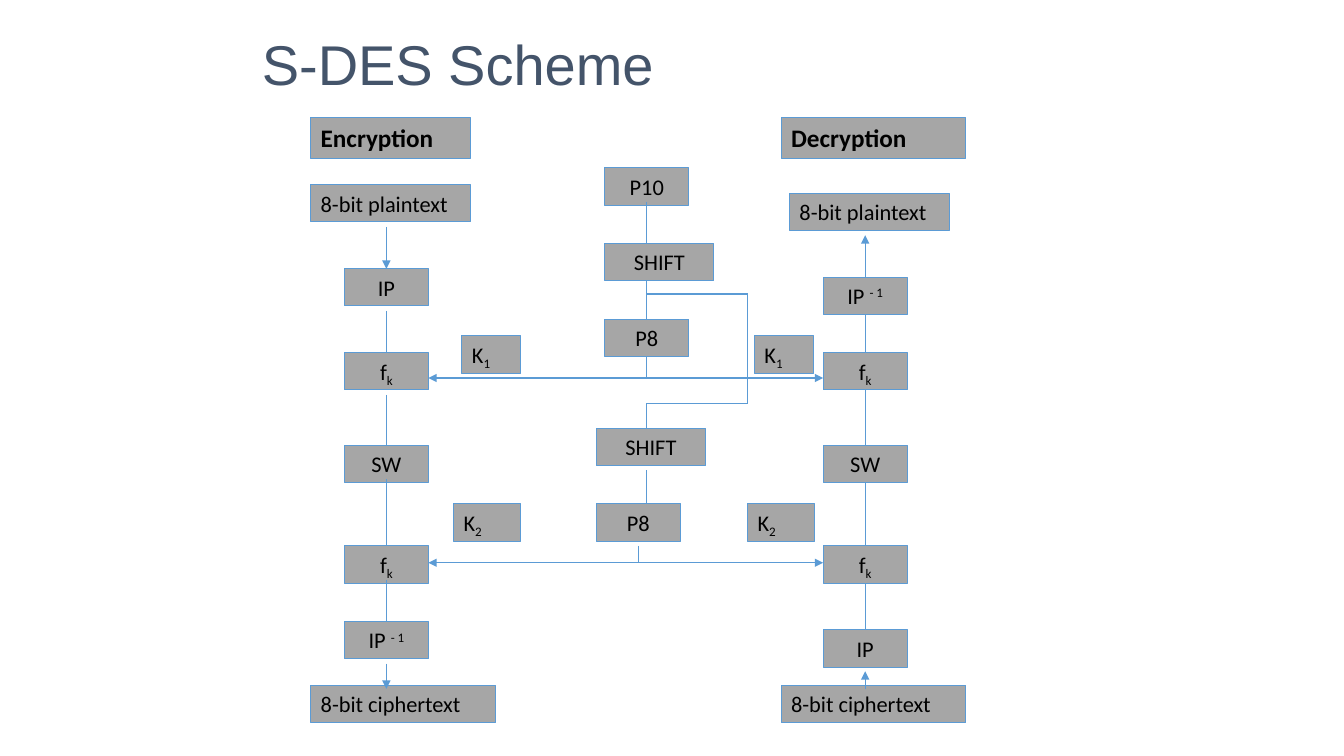
from pptx import Presentation
from pptx.dml.color import RGBColor
from pptx.enum.shapes import MSO_CONNECTOR, MSO_SHAPE
from pptx.enum.text import MSO_ANCHOR, PP_ALIGN
from pptx.oxml.ns import qn
from pptx.util import Pt
from lxml import etree

GREY = RGBColor(0xA6, 0xA6, 0xA6)
BLUE = RGBColor(0x5B, 0x9B, 0xD5)
SLATE = RGBColor(0x44, 0x54, 0x6A)
BLACK = RGBColor(0, 0, 0)
RECT, LINE = MSO_SHAPE.RECTANGLE, MSO_CONNECTOR.STRAIGHT
LEFT, MID = PP_ALIGN.LEFT, PP_ALIGN.CENTER
TOP, CENTER = MSO_ANCHOR.TOP, MSO_ANCHOR.MIDDLE
UP, DOWN = 0, 2  # top and bottom joints of a box

deck = Presentation()
deck.slide_width, deck.slide_height = Pt(960), Pt(540)
slide = deck.slides.add_slide(deck.slide_layouts[6])
boxes = {}


def write(shape, text, size=16, font="Calibri", color=BLACK, bold=False,
          align=LEFT, anchor=TOP):
    """Fill a shape with text; _ starts a subscript, ^ a superscript."""
    frame = shape.text_frame
    frame.word_wrap = True
    frame.vertical_anchor = anchor
    para = frame.paragraphs[0]
    para.alignment = align
    mark = "_" if "_" in text else "^"
    for i, part in enumerate(text.split(mark)):
        run = para.add_run()
        run.text = part
        run.font.size, run.font.name = Pt(size), font
        run.font.bold, run.font.color.rgb = bold, color
        if i:
            shift = "-25000" if mark == "_" else "30000"
            run._r.get_or_add_rPr().set("baseline", shift)
    return para


def link(start, end, arrows=()):
    """Draw a line; an end is a point (x, y) or a joint (box name, side)."""
    spots = [(0, 0) if isinstance(p[0], str) else p for p in (start, end)]
    line = slide.shapes.add_connector(LINE, *[Pt(v) for p in spots for v in p])
    if isinstance(start[0], str):
        line.begin_connect(boxes[start[0]], start[1])
    if isinstance(end[0], str):
        line.end_connect(boxes[end[0]], end[1])
    line.line.color.rgb = BLUE
    line.line.width = Pt(0.75)
    for tag in arrows:
        etree.SubElement(line.line._get_or_add_ln(), qn(tag), type="triangle")
    etree.SubElement(line._element.spPr, qn("a:effectLst"))


TAIL = ("a:tailEnd",)
BOTH = ("a:headEnd", "a:tailEnd")

# Title
title = slide.shapes.add_textbox(Pt(180), Pt(18), Pt(612), Pt(60.5))
write(title, "S-DES Scheme", size=40, font="Arial", color=SLATE,
      anchor=CENTER).line_spacing = 0.9

# Boxes: name, text, left, top, width
steps = [
    ("enc ip", "IP", 246, 192, 60),
    ("enc f1", "f_k", 246, 252, 60),
    ("enc sw", "SW", 246, 318, 60),
    ("enc f2", "f_k", 246, 390, 60),
    ("enc inv", "IP ^- 1", 246, 444, 60),
    ("dec inv", "IP ^- 1", 588, 198, 60),
    ("dec f1", "f_k", 588, 252, 60),
    ("dec sw", "SW", 588, 318, 60),
    ("dec f2", "f_k", 588, 390, 60),
    ("dec ip", "IP", 588, 450, 60),
    ("p10", "P10", 432, 120, 60),
    ("shift 1", "SHIFT", 432, 174, 78),
    ("p8 1", "P8", 432, 228, 60),
    ("shift 2", "SHIFT", 426, 306, 78),
    ("p8 2", "P8", 426, 360, 60),
]
labels = [
    ("enc", "Encryption", 222, 84, 114),
    ("dec", "Decryption", 558, 84, 132),
    ("enc in", "8-bit plaintext", 222, 132, 114),
    ("dec out", "8-bit plaintext", 564, 138, 114),
    ("enc out", "8-bit ciphertext", 222, 489.6, 132),
    ("dec in", "8-bit ciphertext", 558, 489.6, 132),
    ("enc k1", "K_1", 330, 240, 42),
    ("dec k1", "K_1", 539, 240, 42),
    ("enc k2", "K_2", 324, 360, 48),
    ("dec k2", "K_2", 534, 360, 48),
]
for group, align in ((steps, MID), (labels, LEFT)):
    for name, text, x, y, wide in group:
        head = name in ("enc", "dec")
        box = slide.shapes.add_shape(RECT, Pt(x), Pt(y), Pt(wide),
                                     Pt(29 if head else 26.6))
        box.shadow.inherit = False
        box.fill.solid()
        box.fill.fore_color.rgb = GREY
        box.line.color.rgb = BLUE
        box.line.width = Pt(0.75)
        write(box, text, size=18 if head else 16, bold=head, align=align)
        boxes[name] = box

# Encryption, downwards
ENC, KEY, DEC, SIDE = 276, 462, 618, 534
link((ENC, 162), ("enc ip", UP), TAIL)
for y, name in ((222, "enc f1"), (282, "enc sw"), (342, "enc f2"),
                (414, "enc inv")):
    link((ENC, y), (name, UP))
link((ENC, 474), (ENC, 492), TAIL)

# Decryption, upwards
chain = ["dec inv", "dec f1", "dec sw", "dec f2", "dec ip"]
for above, below in zip(chain, chain[1:]):
    link((above, DOWN), (below, UP))
link(("dec inv", UP), (DEC, 168), TAIL)
link((DEC, 492.5), (DEC, 479.5), TAIL)

# Key schedule
link((KEY, 144), (KEY, 174))
link((KEY, 201), ("p8 1", UP))
link(("p8 1", DOWN), (KEY, 270))
link((KEY, 336), (KEY, 360))
link((456, 390), (456, 402))
bend = [(KEY, 210), (SIDE, 210), (SIDE, 288), (KEY, 288), (KEY, 306)]
for start, end in zip(bend, bend[1:]):
    link(start, end)

# Round keys to both sides
for y in (270, 402):
    link((306, y), (588, y), BOTH)

deck.save("out.pptx")
